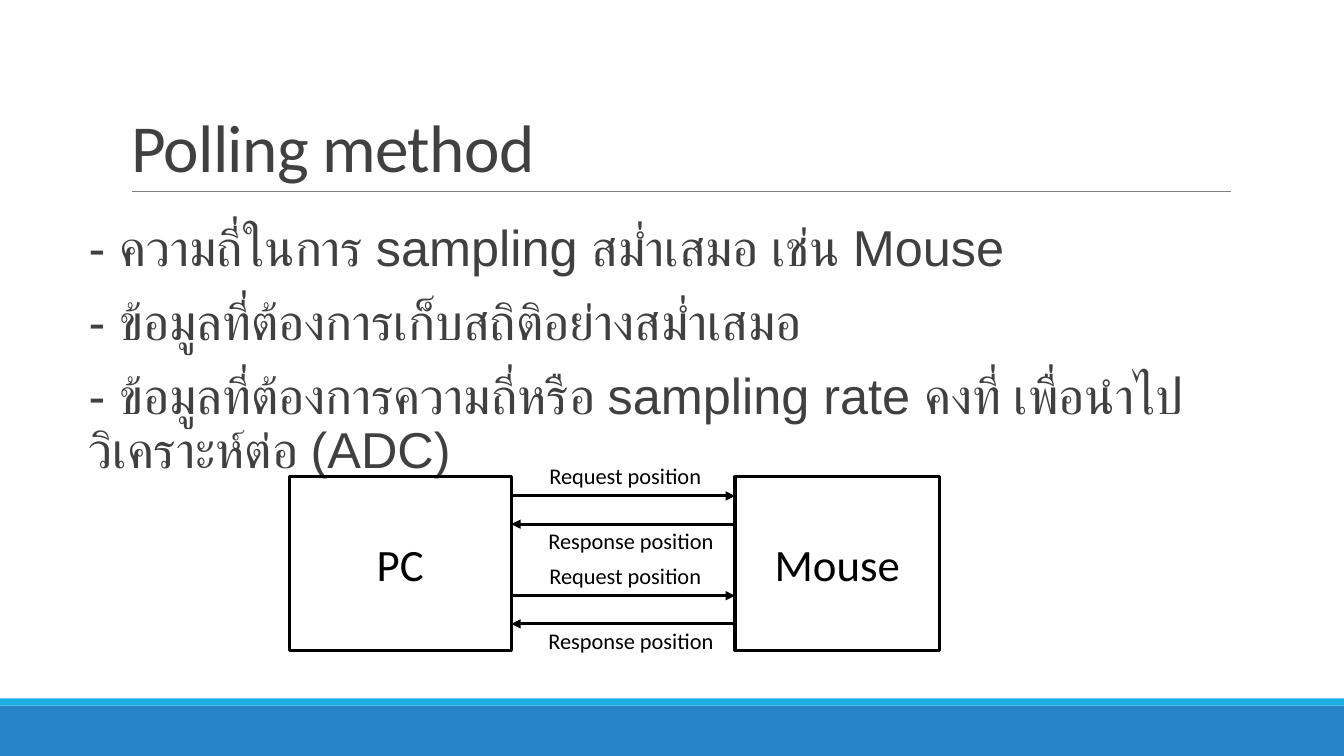
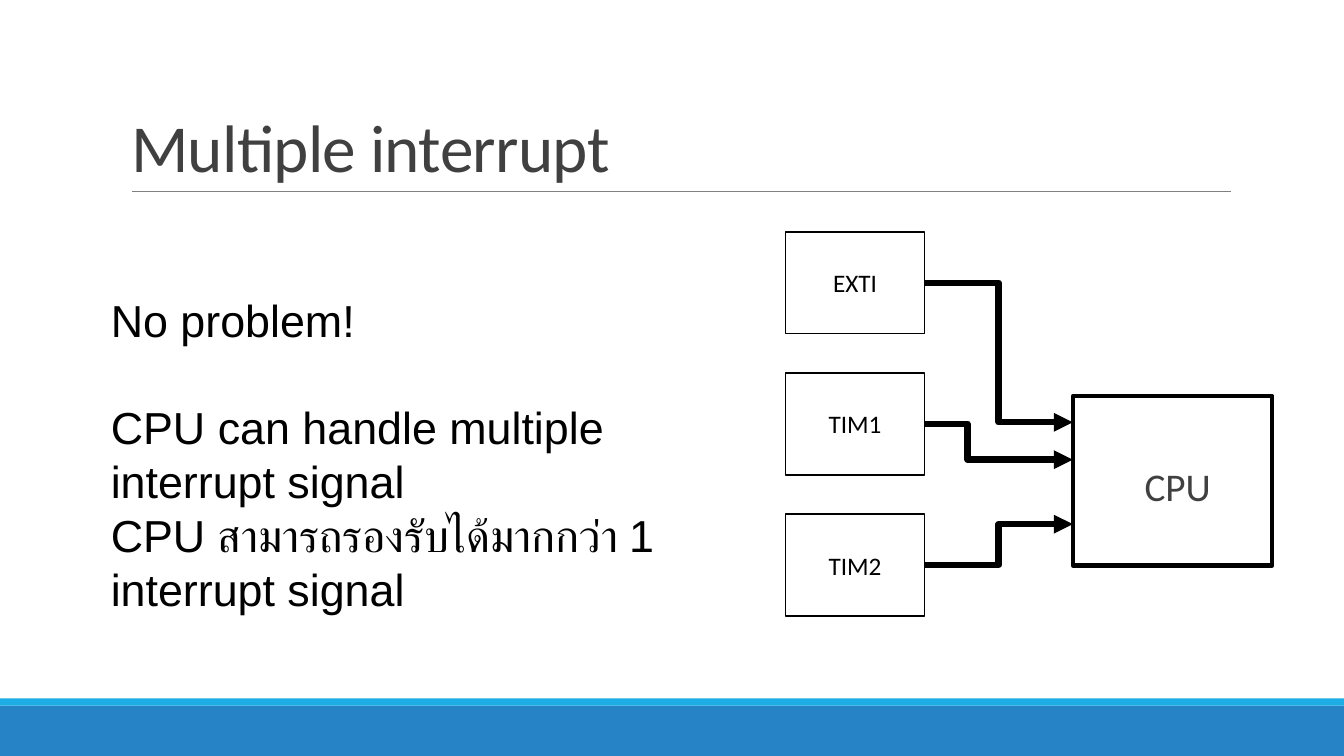
from lxml import etree
from pptx import Presentation
from pptx.dml.color import RGBColor
from pptx.enum.shapes import MSO_CONNECTOR, MSO_SHAPE
from pptx.enum.text import MSO_ANCHOR, MSO_AUTO_SIZE, PP_ALIGN
from pptx.oxml.ns import qn
from pptx.util import Inches, Pt

BLACK = RGBColor(0x00, 0x00, 0x00)
WHITE = RGBColor(0xFF, 0xFF, 0xFF)
DARK = RGBColor(0x40, 0x40, 0x40)
GRAY = RGBColor(0x80, 0x80, 0x80)
BLUE = RGBColor(0x26, 0x83, 0xC6)
CYAN = RGBColor(0x1C, 0xAD, 0xE4)

RECT = MSO_SHAPE.RECTANGLE
STRAIGHT, ELBOW = MSO_CONNECTOR.STRAIGHT, MSO_CONNECTOR.ELBOW
LEFT, CENTER = PP_ALIGN.LEFT, PP_ALIGN.CENTER
TOP, MIDDLE, BOTTOM = MSO_ANCHOR.TOP, MSO_ANCHOR.MIDDLE, MSO_ANCHOR.BOTTOM
NO_AUTOFIT = MSO_AUTO_SIZE.NONE


def write(tf, text, size=18, font="Calibri", color=BLACK, align=LEFT,
          anchor=TOP, wrap=True, line=1.0, before=0, after=0, indent=None, spc=None):
    """Fill a text frame; each line of text becomes a paragraph."""
    tf.word_wrap = wrap
    tf.auto_size = NO_AUTOFIT
    tf.vertical_anchor = anchor
    for i, content in enumerate(text.split("\n")):
        p = tf.add_paragraph() if i else tf.paragraphs[0]
        p.alignment, p.line_spacing = align, line
        p.space_before, p.space_after = Pt(before), Pt(after)
        if indent is not None:
            pPr = p._p.get_or_add_pPr()
            pPr.set("marL", str(Inches(indent)))
            pPr.set("indent", "0")
            etree.SubElement(pPr, qn("a:buNone"))
        r = p.add_run()
        r.text = content
        r.font.name, r.font.size = font, Pt(size)
        r.font.color.rgb = color
        if spc is not None:
            r._r.get_or_add_rPr().set("spc", str(spc))


def place(sp, x, y, w, h):
    sp.left, sp.top, sp.width, sp.height = map(Inches, (x, y, w, h))


class Deck:
    """Shared style and the slide being built."""

    def __init__(self):
        self.prs = Presentation()
        self.prs.slide_width, self.prs.slide_height = Inches(13.33), Inches(7.5)
        self.layout = self.prs.slide_layouts[1]
        place(self.layout.placeholders[0], 1.2, 0.31, 11, 1.59)
        self.s = None

    def add_slide(self, title):
        first = self.s is None
        self.s = self.prs.slides.add_slide(self.layout)
        if first:
            self.decorate_layout()
        write(self.s.shapes.title.text_frame, title, size=48, color=DARK,
              anchor=BOTTOM, line=0.85, spc=-50)

    def decorate_layout(self):
        # Bands and title rule are drawn once, then moved to the layout
        parts = [self.box(0, 7, 13.33, 0.5, fill=BLUE),
                 self.box(0, 6.93, 13.33, 0.07, fill=CYAN),
                 self.line((1.31, 1.9), (12.21, 1.9), 0.5, GRAY)]
        for i, sp in enumerate(parts):
            self.layout.shapes.element.insert(2 + i, sp._element)

    def body(self, text, x, y, w, h, border=None, top=0.05, **fmt):
        sp = self.s.placeholders[1]
        place(sp, x, y, w, h)
        if border:
            sp.line.color.rgb, sp.line.width = BLACK, Pt(border)
        tf = sp.text_frame
        tf.margin_left = tf.margin_right = 0
        tf.margin_top, tf.margin_bottom = Inches(top), Inches(0.05)
        write(tf, text, color=DARK, line=0.9, indent=0.1, **fmt)

    def box(self, x, y, w, h, text=None, size=18, fill=None, border=None):
        sp = self.s.shapes.add_shape(RECT, *map(Inches, (x, y, w, h)))
        sp.shadow.inherit = False
        if fill is None:
            sp.fill.background()
        else:
            sp.fill.solid()
            sp.fill.fore_color.rgb = fill
        if border:
            sp.line.color.rgb, sp.line.width = BLACK, Pt(border)
        else:
            sp.line.fill.background()
        if text:
            write(sp.text_frame, text, size=size, align=CENTER, anchor=MIDDLE)
        return sp

    def text(self, text, x, y, w, h, **fmt):
        sp = self.s.shapes.add_textbox(*map(Inches, (x, y, w, h)))
        write(sp.text_frame, text, **fmt)

    def line(self, start, end, width, color=BLACK, kind=STRAIGHT):
        sp = self.s.shapes.add_connector(kind, *map(Inches, start + end))
        sp.line.color.rgb, sp.line.width = color, Pt(width)
        etree.SubElement(sp._element.spPr, qn("a:effectLst"))
        return sp

    def arrow(self, start, end, width, kind=STRAIGHT, bend=None):
        sp = self.line(start, end, width, kind=kind)
        etree.SubElement(sp.line._get_or_add_ln(), qn("a:tailEnd"), type="triangle")
        if bend is not None:
            geom = sp._element.spPr.find(qn("a:prstGeom"))
            etree.SubElement(geom.get_or_add_avLst(), qn("a:gd"),
                             name="adj1", fmla=f"val {round(bend * 100000)}")


def polling_slide(deck):
    deck.add_slide("Polling method")
    deck.body("- ความถี่ในการ sampling สม่ำเสมอ เช่น Mouse\n"
              "- ข้อมูลที่ต้องการเก็บสถิติอย่างสม่ำเสมอ\n"
              "- ข้อมูลที่ต้องการความถี่หรือ sampling rate คงที่ เพื่อนำไปวิเคราะห์ต่อ (ADC)",
              0.78, 2.16, 11, 4.4, size=36, font="Arial", before=12, after=2)

    # Two devices
    pc_right, mouse_left = 5.07, 7.29
    deck.box(2.87, 4.73, 2.2, 1.72, "PC", size=32, border=2.25)
    deck.box(mouse_left, 4.73, 2.03, 1.72, "Mouse", size=32, border=2.25)

    # Request and response pairs
    for y in (4.92, 5.91):
        reply = y + 0.28
        deck.arrow((pc_right, y), (mouse_left, y), 2.25)
        deck.arrow((mouse_left, reply), (pc_right, reply), 2.25)
        deck.text("Request position", 5.35, y - 0.38, 1.76, 0.37, size=16, wrap=False)
        deck.text("Response position", 5.34, reply - 0.02, 2.03, 0.37, size=16, wrap=False)


def interrupt_slide(deck):
    deck.add_slide("Multiple interrupt")
    cpu_left = 10.64
    deck.body("CPU", cpu_left, 3.93, 1.98, 1.68, border=3, top=0.2,
              size=28, align=CENTER, anchor=MIDDLE)

    # Interrupt sources, each wired to the CPU
    x, w, h = 7.79, 1.38, 1.01
    sources = [("EXTI", 4.19, 0.5), ("TIM1", 4.56, 0.29), ("TIM2", 5.2, 0.5)]
    for i, (name, target, bend) in enumerate(sources):
        y = 2.3 + 1.4 * i
        deck.box(x, y, w, h, name, fill=WHITE, border=1.25)
        deck.arrow((x + w, y + h / 2), (cpu_left, target), 4.5, ELBOW, bend)

    # Explanation
    style = dict(size=32, font="Arial")
    deck.text("No problem!", 1, 2.85, 6.21, 0.63, **style)
    deck.text("CPU can handle multiple interrupt signal\n"
              "CPU สามารถรองรับได้มากกว่า 1 interrupt signal",
              1, 3.92, 6.21, 2.26, **style)


def main():
    deck = Deck()
    polling_slide(deck)
    interrupt_slide(deck)
    deck.prs.save("out.pptx")


if __name__ == "__main__":
    main()
